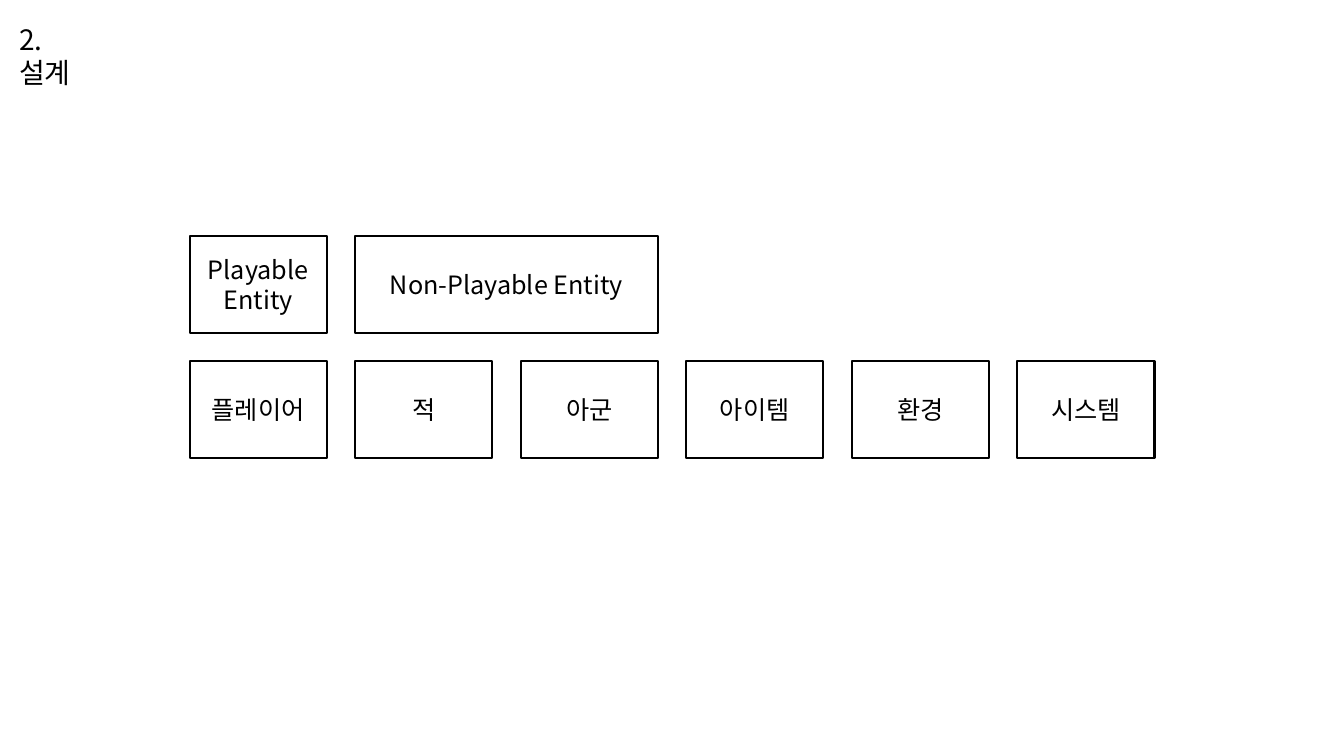
import dataclasses

import pptx
import pptx.dml.color
import pptx.enum.shapes
import pptx.enum.text
import pptx.oxml
import pptx.oxml.ns
import pptx.util

Pt = pptx.util.Pt
ALIGN = pptx.enum.text.PP_ALIGN
ANCHOR = pptx.enum.text.MSO_ANCHOR


@dataclasses.dataclass(frozen=True)
class Theme:
    """Colours, font and type sizes of the slide."""
    ink: pptx.dml.color.RGBColor = pptx.dml.color.RGBColor(0, 0, 0)
    paper: pptx.dml.color.RGBColor = pptx.dml.color.RGBColor(255, 255, 255)
    font: str = "Noto Sans CJK KR"
    heading: int = 20
    label: int = 18
    border: float = 1.5


THEME = Theme()
GRID_LEFT, GRID_TOP = 135.4, 168.5
BOX_WIDTH, BOX_HEIGHT = 98, 69.2
COLUMN_STEP, ROW_STEP = 118.25, 89.3

GROUPS = [("Playable\nEntity", 0, 1), ("Non-Playable Entity", 1, 2)]
ENTITIES = ["플레이어", "적", "아군", "아이템", "환경", "시스템"]


def apply_format(target, values):
    """Set each named attribute on the target."""
    for attribute, value in values.items():
        setattr(target, attribute, value)


def write_text(frame, text, size, align, anchor):
    """Fill a text frame, one paragraph per line of text."""
    frame.text = text
    apply_format(frame, {
        "word_wrap": True,
        "auto_size": pptx.enum.text.MSO_AUTO_SIZE.NONE,
        "vertical_anchor": anchor,
    })
    for paragraph in frame.paragraphs:
        paragraph.alignment = align
        for run in paragraph.runs:
            apply_format(run.font, {"name": THEME.font, "size": Pt(size)})
            run.font.color.rgb = THEME.ink
            east_asian = pptx.oxml.parse_xml(
                f'<a:ea {pptx.oxml.ns.nsdecls("a")} typeface="{THEME.font}"/>')
            run.font._element.append(east_asian)


def add_heading(slide, text):
    """Place the section heading in the title placeholder."""
    heading = slide.shapes.title
    apply_format(heading, {"left": Pt(6.5), "top": Pt(12.2),
                           "width": Pt(72), "height": Pt(31.5)})
    write_text(heading.text_frame, text, THEME.heading, ALIGN.LEFT, ANCHOR.TOP)


def add_box(slide, text, row, column, span=1):
    """Add a labelled box that covers one or more grid columns."""
    box = slide.shapes.add_shape(
        pptx.enum.shapes.MSO_SHAPE.RECTANGLE,
        Pt(GRID_LEFT + column * COLUMN_STEP), Pt(GRID_TOP + row * ROW_STEP),
        Pt(BOX_WIDTH + (span - 1) * COLUMN_STEP), Pt(BOX_HEIGHT))
    box.shadow.inherit = False
    box.fill.solid()
    box.fill.fore_color.rgb = THEME.paper
    box.line.color.rgb = THEME.ink
    box.line.width = Pt(THEME.border)
    write_text(box.text_frame, text, THEME.label, ALIGN.CENTER, ANCHOR.MIDDLE)


def main():
    """Build the design slide and save it."""
    deck = pptx.Presentation()
    apply_format(deck, {"slide_width": Pt(960), "slide_height": Pt(540)})
    slide = deck.slides.add_slide(deck.slide_layouts[5])
    add_heading(slide, "2. 설계")
    for column, entity in enumerate(ENTITIES):
        add_box(slide, entity, 1, column)
    for group, column, span in GROUPS:
        add_box(slide, group, 0, column, span)
    deck.save("out.pptx")


if __name__ == "__main__":
    main()
